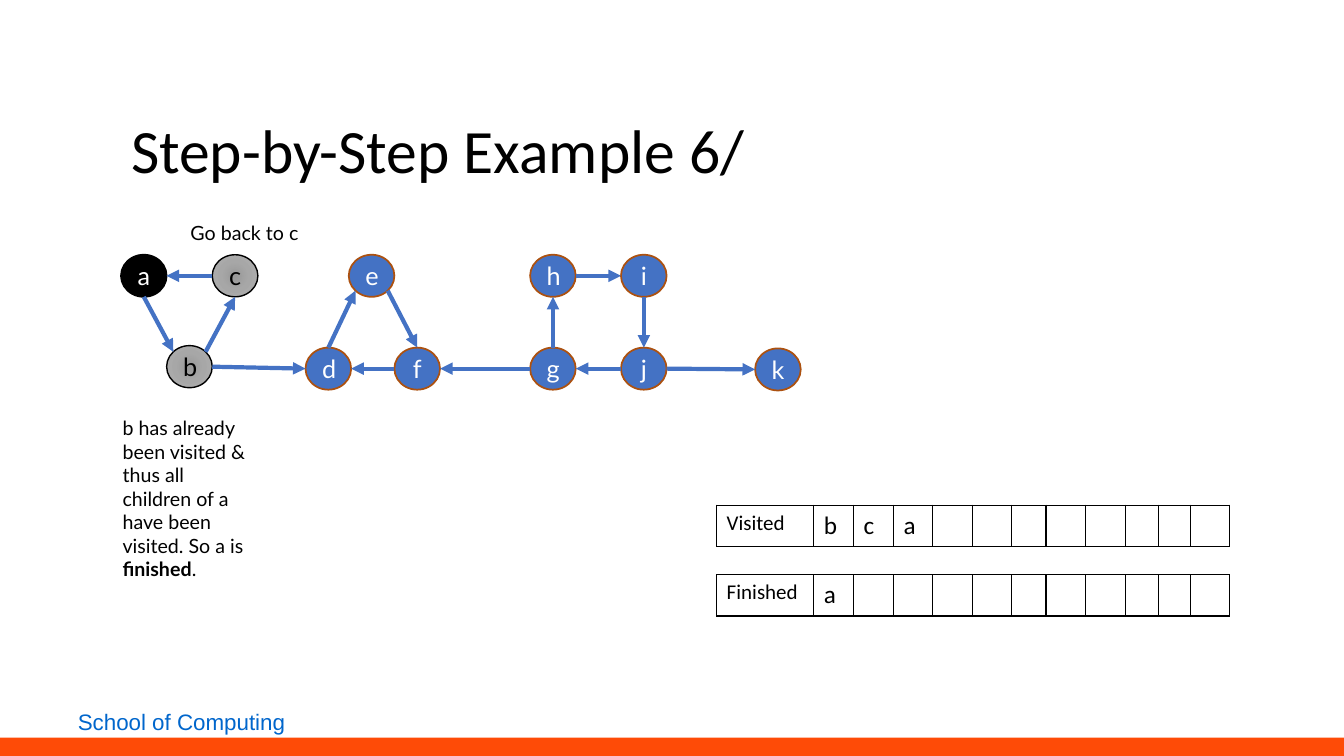
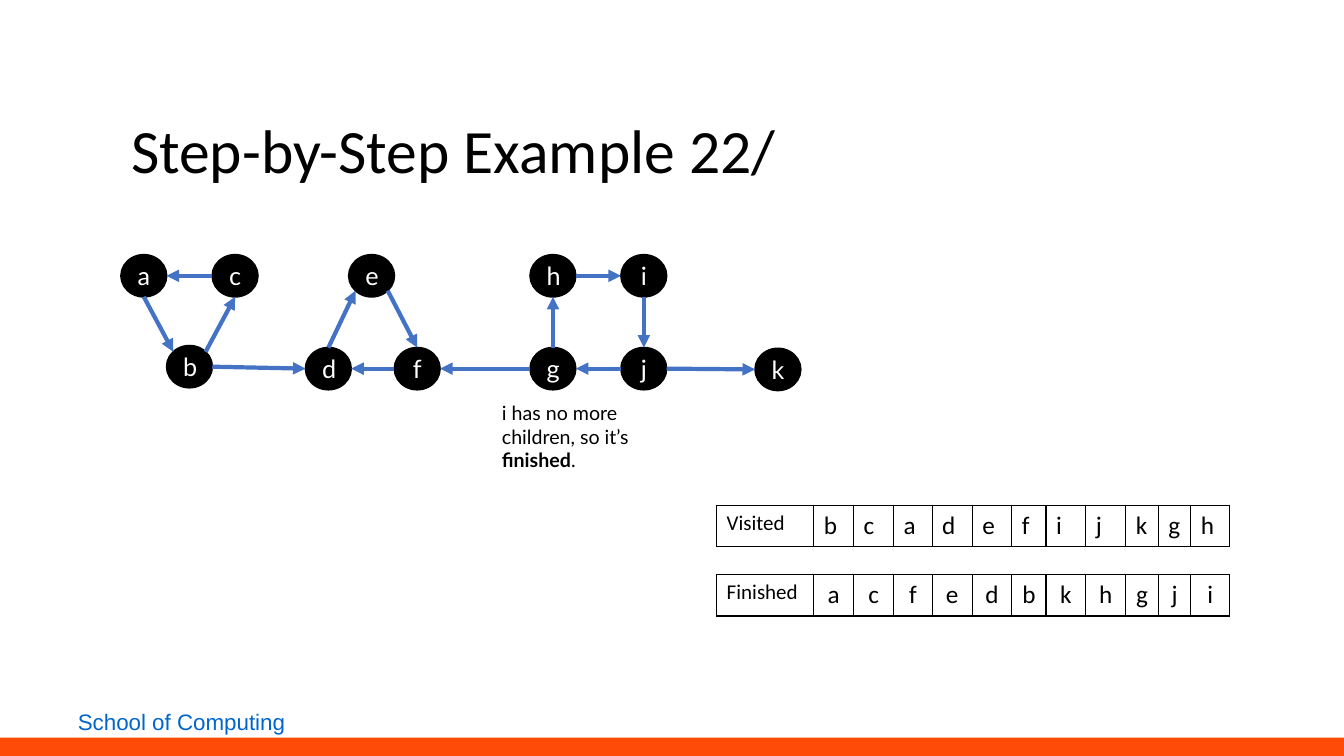
import math
from dataclasses import dataclass

from lxml import etree
from pptx import Presentation
from pptx.dml.color import RGBColor
from pptx.enum.shapes import MSO_CONNECTOR, MSO_SHAPE
from pptx.enum.text import MSO_ANCHOR, MSO_AUTO_SIZE, PP_ALIGN
from pptx.oxml import parse_xml
from pptx.oxml.ns import nsdecls, qn
from pptx.util import Cm, Pt

ELLIPSE, RECTANGLE = MSO_SHAPE.OVAL, MSO_SHAPE.RECTANGLE
STRAIGHT = MSO_CONNECTOR.STRAIGHT
LEFT, CENTER = PP_ALIGN.LEFT, PP_ALIGN.CENTER
MIDDLE, BOTTOM = MSO_ANCHOR.MIDDLE, MSO_ANCHOR.BOTTOM

COLORS = {
    "band": "FE4B07", "school": "0066CC", "black": "000000", "white": "FFFFFF",
    "blue": "4472C4", "rust": "AC5110",
    "gray_inner": "989898", "gray_mid": "A7A7A7", "gray_outer": "B1B1B1",
}
TITLE_FONT, GRAPH_FONT, FOOTER_FONT = "Calibri", "Lato", "Arial"

# Connection sites of an ellipse, counted anticlockwise from the top
TOP, TOP_LEFT, SIDE_LEFT, BOTTOM_LEFT, BASE, BOTTOM_RIGHT, SIDE_RIGHT, TOP_RIGHT = range(8)

NODE_W, NODE_H = 1.15, 1.06
UPPER_ROW, LOWER_ROW = 6.42, 8.76
NODES = {  # left and top in cm
    "e": (8.79, UPPER_ROW), "d": (7.7, LOWER_ROW), "f": (9.94, LOWER_ROW),
    "b": (4.2, 8.71), "a": (3.05, UPPER_ROW), "c": (5.35, UPPER_ROW),
    "h": (13.36, UPPER_ROW), "g": (13.36, LOWER_ROW),
    "j": (15.65, LOWER_ROW), "i": (15.65, UPPER_ROW), "k": (19.03, 8.78),
}

ROW_LEFT, ROW_HEIGHT = 18.06, 1.04
CELL_WIDTHS = (2.45, 1, 1.01, 0.97, 1.01, 1, 0.86, 1, 1.01, 0.82, 0.82, 0.98)
VISITED_TOP, FINISHED_TOP = 12.73, 14.48


@dataclass(frozen=True)
class Edge:
    start: str
    start_site: int
    end: str
    end_site: int


@dataclass(frozen=True)
class NodeStyle:
    fill: str | None  # None stands for the gray gradient
    line: str
    line_width: float
    text: str


@dataclass(frozen=True)
class Note:
    left: float
    top: float
    width: float
    height: float
    runs: tuple[tuple[str, bool], ...]  # text and whether it is bold


@dataclass(frozen=True)
class Step:
    title: str
    visited: str
    finished: str
    finished_align: PP_ALIGN
    notes: tuple[Note, ...]


EDGES = (
    Edge("f", SIDE_LEFT, "d", SIDE_RIGHT),
    Edge("d", TOP, "e", BOTTOM_LEFT),
    Edge("e", BOTTOM_RIGHT, "f", TOP),
    Edge("h", SIDE_RIGHT, "i", SIDE_LEFT),
    Edge("i", BASE, "j", TOP),
    Edge("j", SIDE_LEFT, "g", SIDE_RIGHT),
    Edge("g", TOP, "h", BASE),
    Edge("g", SIDE_LEFT, "f", SIDE_RIGHT),
    Edge("j", SIDE_RIGHT, "k", SIDE_LEFT),
    Edge("a", BASE, "b", TOP_LEFT),
    Edge("b", TOP_RIGHT, "c", BASE),
    Edge("c", SIDE_LEFT, "a", SIDE_RIGHT),
    Edge("b", SIDE_RIGHT, "d", SIDE_LEFT),
)

UNSEEN = NodeStyle("blue", "rust", 1.25, "white")
VISITED = NodeStyle(None, "black", 1, "black")
FINISHED = NodeStyle("black", "black", 1.25, "white")

STEPS = (
    Step("Step-by-Step Example 6/", "bca", "a", LEFT, (
        Note(2.84, 10.36, 3.86, 3.84, (
            ("b has already been visited & thus all children of a have been visited. So a is ", False),
            ("finished", True), (".", False))),
        Note(4.55, 5.44, 3.86, 0.86, (("Go back to c", False),)),
    )),
    Step("Step-by-Step Example 22/", "bcadefijkgh", "acfedbkhgji", CENTER, (
        Note(12.4, 9.98, 4.93, 2.06, (
            ("i has no more children, so it’s ", False),
            ("finished", True), (".", False))),
    )),
)


def rgb(name: str) -> RGBColor:
    return RGBColor.from_string(COLORS[name])


def set_font(paragraph, face: str, size: float, color: str) -> None:
    font = paragraph.font
    font.name, font.size, font.color.rgb = face, Pt(size), rgb(color)


def move_to_layout(layout, shape, shape_id: int) -> None:
    shape.element.nvSpPr.cNvPr.set("id", str(shape_id))
    layout.shapes.element.append(shape.element)


def build_layout(layout, slide) -> None:
    """Give the layout its title area, bottom band and school name."""
    title = layout.placeholders[0]
    title.left, title.top, title.width, title.height = Cm(3.05), Cm(0.79), Cm(27.94), Cm(4.04)

    band = slide.shapes.add_shape(RECTANGLE, 0, Cm(18.59), Cm(33.87), Cm(0.46))
    band.shadow.inherit = False
    band.fill.solid()
    band.fill.fore_color.rgb = rgb("band")
    band.line.fill.background()
    move_to_layout(layout, band, 101)

    school = slide.shapes.add_textbox(Cm(0.46), Cm(17.73), Cm(8.23), Cm(0.94))
    school.text_frame.word_wrap = True
    paragraph = school.text_frame.paragraphs[0]
    paragraph.text = "School of Computing"
    paragraph.alignment = CENTER
    set_font(paragraph, FOOTER_FONT, 16, "school")
    move_to_layout(layout, school, 102)


def add_title(slide, text: str) -> None:
    frame = slide.shapes.title.text_frame
    frame.text = text
    frame.vertical_anchor = BOTTOM
    frame.auto_size = MSO_AUTO_SIZE.NONE
    paragraph = frame.paragraphs[0]
    paragraph.alignment = LEFT
    paragraph.line_spacing = 0.9
    set_font(paragraph, TITLE_FONT, 44, "black")


def outline_cell(cell) -> None:
    properties = cell._tc.get_or_add_tcPr()
    for side in ("lnL", "lnR", "lnT", "lnB"):
        line = etree.SubElement(properties, qn(f"a:{side}"), w=str(Pt(1)))
        fill = etree.SubElement(line, qn("a:solidFill"))
        etree.SubElement(fill, qn("a:srgbClr"), val=COLORS["black"])


def add_node_row(slide, label: str, nodes: str, top: float, align: PP_ALIGN) -> None:
    table = slide.shapes.add_table(
        1, len(CELL_WIDTHS), Cm(ROW_LEFT), Cm(top), Cm(sum(CELL_WIDTHS)), Cm(ROW_HEIGHT)).table
    table.first_row = table.horz_banding = False
    texts = [label, *nodes.ljust(len(CELL_WIDTHS) - 1)]
    for index, (width, text) in enumerate(zip(CELL_WIDTHS, texts)):
        table.columns[index].width = Cm(width)
        cell = table.cell(0, index)
        outline_cell(cell)
        cell.fill.background()
        paragraph = cell.text_frame.paragraphs[0]
        paragraph.text = text.strip()
        paragraph.alignment = align if index else LEFT
        set_font(paragraph, TITLE_FONT, 18 if index else 15, "black")


def fill_with_gray(shape) -> None:
    stops = "".join(
        f'<a:gs pos="{position}"><a:srgbClr val="{COLORS[name]}"/></a:gs>'
        for position, name in ((0, "gray_inner"), (45000, "gray_mid"), (100000, "gray_outer")))
    gradient = parse_xml(
        f'<a:gradFill {nsdecls("a")} rotWithShape="1"><a:gsLst>{stops}</a:gsLst>'
        '<a:path path="circle"><a:fillToRect l="50000" t="50000" r="50000" b="50000"/></a:path>'
        '</a:gradFill>')
    shape.fill.background()
    properties = shape.element.spPr
    properties.replace(properties.find(qn("a:noFill")), gradient)


def add_node(slide, letter: str, style: NodeStyle):
    left, top = NODES[letter]
    node = slide.shapes.add_shape(ELLIPSE, Cm(left), Cm(top), Cm(NODE_W), Cm(NODE_H))
    node.shadow.inherit = False
    if style.fill is None:
        fill_with_gray(node)
    else:
        node.fill.solid()
        node.fill.fore_color.rgb = rgb(style.fill)
    node.line.color.rgb = rgb(style.line)
    node.line.width = Pt(style.line_width)
    node.text_frame.vertical_anchor = MIDDLE
    paragraph = node.text_frame.paragraphs[0]
    paragraph.text = letter
    paragraph.alignment = CENTER
    set_font(paragraph, GRAPH_FONT, 18, style.text)
    return node


def site_point(letter: str, site: int) -> tuple[Cm, Cm]:
    left, top = NODES[letter]
    angle = math.radians(90 + 45 * site)
    return (Cm(left + NODE_W / 2 * (1 + math.cos(angle))),
            Cm(top + NODE_H / 2 * (1 - math.sin(angle))))


def add_edge(slide, edge: Edge, nodes: dict) -> None:
    arrow = slide.shapes.add_connector(
        STRAIGHT, *site_point(edge.start, edge.start_site), *site_point(edge.end, edge.end_site))
    arrow.line.color.rgb = rgb("blue")
    arrow.line.width = Pt(3)
    properties = arrow.element.spPr
    etree.SubElement(properties.find(qn("a:ln")), qn("a:tailEnd"), type="triangle")
    etree.SubElement(properties, qn("a:effectLst"))
    # An ellipse has eight sites, so the joints are written directly
    joints = arrow.element.nvCxnSpPr.cNvCxnSpPr
    for tag, letter, site in (("a:stCxn", edge.start, edge.start_site),
                              ("a:endCxn", edge.end, edge.end_site)):
        etree.SubElement(joints, qn(tag), id=str(nodes[letter].shape_id), idx=str(site))


def add_note(slide, note: Note) -> None:
    box = slide.shapes.add_textbox(Cm(note.left), Cm(note.top), Cm(note.width), Cm(note.height))
    box.text_frame.word_wrap = True
    paragraph = box.text_frame.paragraphs[0]
    set_font(paragraph, GRAPH_FONT, 14, "black")
    for text, bold in note.runs:
        run = paragraph.add_run()
        run.text = text
        run.font.bold = bold


def node_style(step: Step, letter: str) -> NodeStyle:
    if letter in step.finished:
        return FINISHED
    # The node that was just finished is already black; other visited ones are gray
    return VISITED if letter in step.visited else UNSEEN


def add_step(slide, step: Step) -> None:
    add_title(slide, step.title)
    add_node_row(slide, "Visited", step.visited, VISITED_TOP, LEFT)
    add_node_row(slide, "Finished", step.finished, FINISHED_TOP, step.finished_align)
    nodes = {letter: add_node(slide, letter, node_style(step, letter)) for letter in NODES}
    for edge in EDGES:
        add_edge(slide, edge, nodes)
    for note in step.notes:
        add_note(slide, note)


def main() -> None:
    deck = Presentation()
    deck.slide_width, deck.slide_height = Cm(33.87), Cm(19.05)
    layout = deck.slide_layouts[5]
    slides = [deck.slides.add_slide(layout) for _ in STEPS]
    build_layout(layout, slides[0])
    for slide, step in zip(slides, STEPS):
        add_step(slide, step)
    deck.save("out.pptx")


if __name__ == "__main__":
    main()
